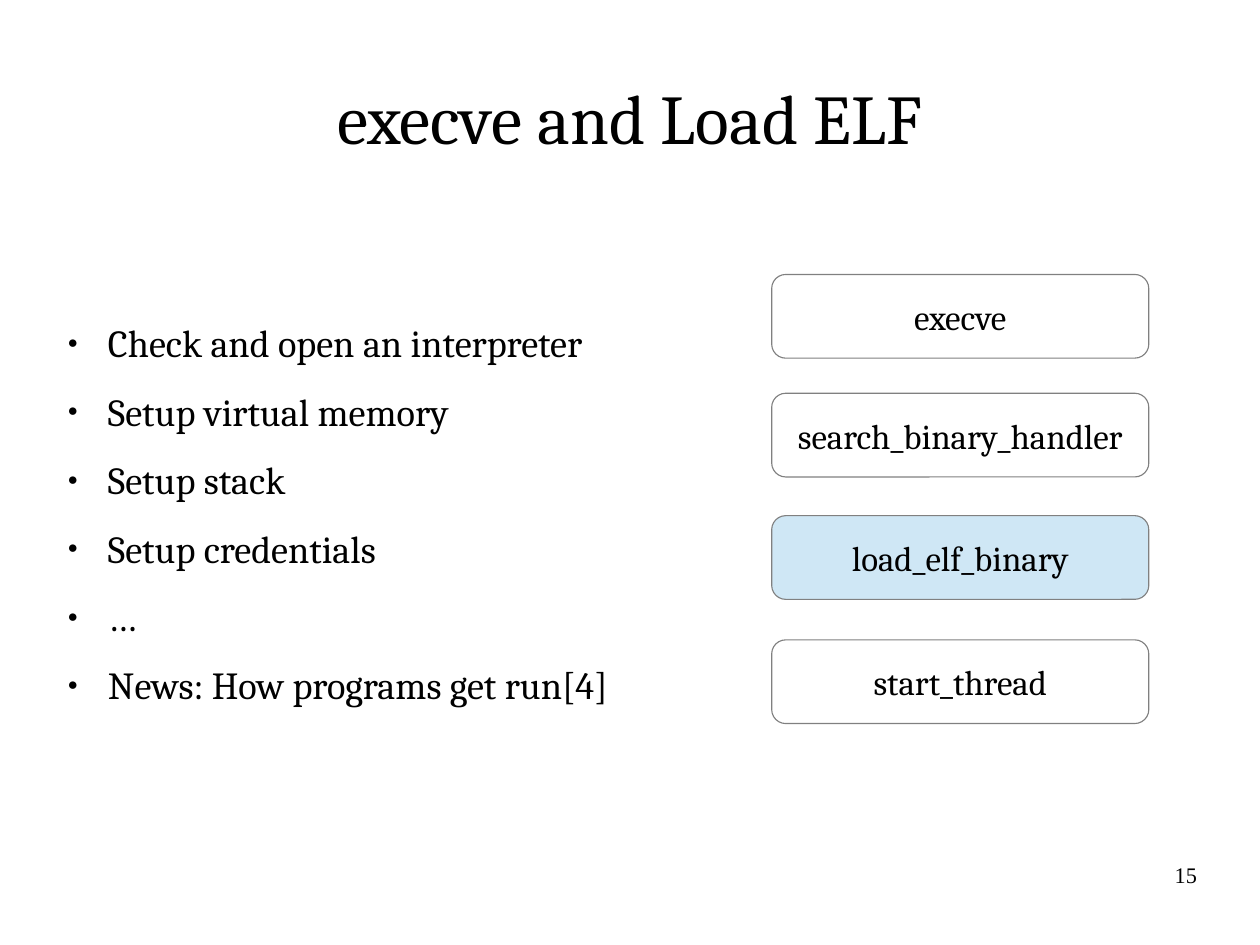
from lxml.etree import SubElement
from pptx import Presentation
from pptx.dml.color import RGBColor
from pptx.enum.shapes import MSO_SHAPE
from pptx.enum.text import MSO_ANCHOR, MSO_AUTO_SIZE, PP_ALIGN
from pptx.oxml.ns import qn
from pptx.util import Cm, Pt

# Content
TITLE = "execve and Load ELF"
STEPS = [
    "Check and open an interpreter",
    "Setup virtual memory",
    "Setup stack",
    "Setup credentials",
    "…",
    "News: How programs get run[4]",
]
# Call chain: function, top in cm, fill
CALLS = [
    ("execve", 6.1, "plain"),
    ("search_binary_handler", 8.74, "plain"),
    ("load_elf_binary", 11.46, "highlight"),
    ("start_thread", 14.22, "plain"),
]
PAGE_NUMBER = "15"

# Style
COLORS = {"text": "000000", "plain": "FFFFFF", "highlight": "CFE7F5", "outline": "808080"}
FONT = "Cambria"


def color(name):
    return RGBColor.from_string(COLORS[name])


def place(shape, left, top, width, height):
    shape.left, shape.top, shape.width, shape.height = map(Cm, (left, top, width, height))


def prepare_frame(frame, anchor):
    frame.word_wrap = True
    frame.auto_size = MSO_AUTO_SIZE.NONE
    frame.vertical_anchor = anchor
    frame.margin_left = frame.margin_right = frame.margin_top = frame.margin_bottom = 0


def style(paragraph, size, alignment, font=FONT):
    paragraph.alignment = alignment
    paragraph.font.size = Pt(size)
    paragraph.font.name = font
    paragraph.font.color.rgb = color("text")


def add_bullet(paragraph):
    properties = paragraph._p.get_or_add_pPr()
    properties.set("marL", str(Cm(1.2)))
    properties.set("indent", str(-Cm(0.9)))
    bullet_color = SubElement(properties, qn("a:buClr"))
    SubElement(bullet_color, qn("a:srgbClr"), val=COLORS["text"])
    SubElement(properties, qn("a:buSzPct"), val="45000")
    SubElement(properties, qn("a:buChar"), char="●")


presentation = Presentation()
presentation.slide_width = Cm(28)
presentation.slide_height = Cm(21)
slide = presentation.slides.add_slide(presentation.slide_layouts[1])

# Title
title = slide.shapes.title
place(title, 1.4, 0.84, 25.2, 3.5)
title.text_frame.text = TITLE
prepare_frame(title.text_frame, MSO_ANCHOR.MIDDLE)
style(title.text_frame.paragraphs[0], 44, PP_ALIGN.CENTER)

# Steps of loading a binary
body = slide.placeholders[1]
place(body, 1.2, 7.1, 15.1, 8.26)
body.text_frame.text = "\n".join(STEPS)
prepare_frame(body.text_frame, MSO_ANCHOR.TOP)
for paragraph in body.text_frame.paragraphs:
    style(paragraph, 24.1, PP_ALIGN.LEFT)
    paragraph.space_before = Pt(0)
    paragraph.space_after = Pt(14.2)
    add_bullet(paragraph)

# Call chain
call_chain = slide.shapes.add_group_shape()
for name, top, fill in CALLS:
    box = call_chain.shapes.add_shape(
        MSO_SHAPE.ROUNDED_RECTANGLE, Cm(17.15), Cm(top), Cm(8.38), Cm(1.86))
    box.shadow.inherit = False
    box.fill.solid()
    box.fill.fore_color.rgb = color(fill)
    box.line.color.rgb = color("outline")
    box.line.width = Pt(0.71)
    box.text_frame.text = name
    box.text_frame.word_wrap = False
    box.text_frame.vertical_anchor = MSO_ANCHOR.MIDDLE
    style(box.text_frame.paragraphs[0], 22, PP_ALIGN.CENTER)

# Page number
page = slide.shapes.add_textbox(Cm(20.07), Cm(19.13), Cm(6.53), Cm(1.45))
page.text_frame.text = PAGE_NUMBER
prepare_frame(page.text_frame, MSO_ANCHOR.TOP)
style(page.text_frame.paragraphs[0], 14, PP_ALIGN.RIGHT, "Times New Roman")

presentation.save("out.pptx")
